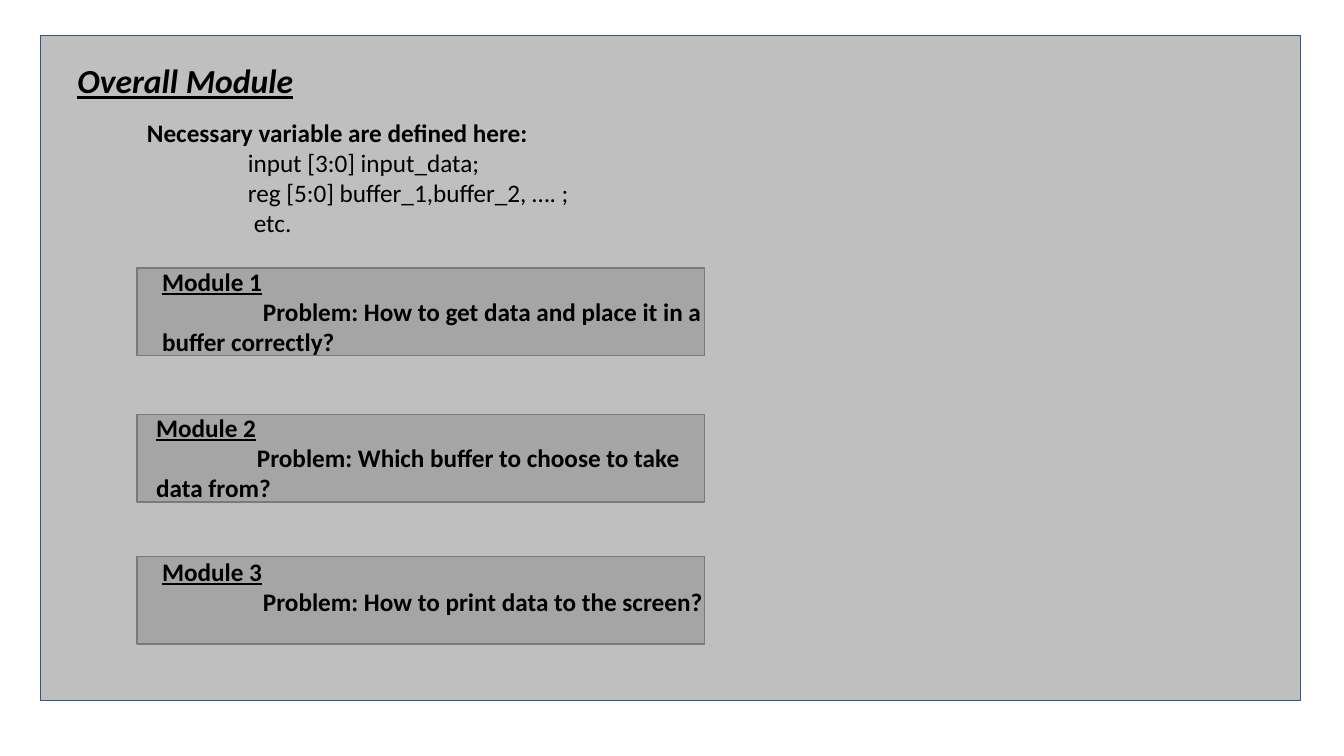
"""Build the slide that outlines the overall module and its three submodules."""
import pptx
import pptx.util
import pptx.dml.color
import pptx.enum.shapes
import pptx.enum.text

PX = 9144
BLACK = pptx.dml.color.RGBColor(0x00, 0x00, 0x00)
PANEL_GREY = pptx.dml.color.RGBColor(0xBF, 0xBF, 0xBF)
PANEL_EDGE = pptx.dml.color.RGBColor(0x32, 0x54, 0x91)
MODULE_GREY = pptx.dml.color.RGBColor(0xA5, 0xA5, 0xA5)
MODULE_EDGE = pptx.dml.color.RGBColor(0x7A, 0x7A, 0x7A)
INDENT = 100
MODULE_LEFT, MODULE_WIDTH, MODULE_HEIGHT = 136, 563, 87

deck = pptx.Presentation()
deck.slide_width = 1333 * PX
deck.slide_height = 750 * PX
slide = deck.slides.add_slide(deck.slide_layouts[6])


def add_panel(left, top, width, height, fill, edge):
    panel = slide.shapes.add_shape(
        pptx.enum.shapes.MSO_SHAPE.RECTANGLE, left * PX, top * PX, width * PX, height * PX)
    panel.shadow.inherit = False
    panel.fill.solid()
    panel.fill.fore_color.rgb = fill
    panel.line.color.rgb = edge
    panel.line.width = pptx.util.Pt(1)


def add_text(left, top, width, height, size, lines):
    frame = slide.shapes.add_textbox(left * PX, top * PX, width * PX, height * PX).text_frame
    frame.word_wrap = True
    frame.auto_size = pptx.enum.text.MSO_AUTO_SIZE.SHAPE_TO_FIT_TEXT
    for number, (words, style, indent) in enumerate(lines):
        paragraph = frame.add_paragraph() if number else frame.paragraphs[0]
        if indent:
            paragraph._p.get_or_add_pPr().set("indent", str(indent * PX))
        run = paragraph.add_run()
        run.text = words
        run.font.name = "Calibri"
        run.font.size = pptx.util.Pt(size)
        run.font.color.rgb = BLACK
        run.font.bold = "b" in style
        run.font.italic = "i" in style
        run.font.underline = "u" in style


modules = [
    (266, 151, 259, 101, "Module 1", "Problem: How to get data and place it in a buffer correctly?"),
    (411, 145, 404, 101, "Module 2", "Problem: Which buffer to choose to take data from?"),
    (552, 151, 547, 71, "Module 3", "Problem: How to print data to the screen?"),
]

add_panel(40, 35, 1250, 660, PANEL_GREY, PANEL_EDGE)
for box_top, *_ in modules:
    add_panel(MODULE_LEFT, box_top, MODULE_WIDTH, MODULE_HEIGHT, MODULE_GREY, MODULE_EDGE)

add_text(67, 55, 404, 50, 24, [("Overall Module", "biu", 0)])
add_text(MODULE_LEFT, 111, MODULE_WIDTH, 131, 18, [
    ("Necessary variable are defined here:", "b", 0),
    ("input [3:0] input_data;", "", INDENT),
    ("reg [5:0] buffer_1,buffer_2, …. ;", "", INDENT),
    ("etc.", "", INDENT + 6),
])
for _, text_left, text_top, text_height, heading, problem in modules:
    add_text(text_left, text_top, MODULE_WIDTH, text_height, 18,
             [(heading, "bu", 0), (problem, "b", INDENT)])

deck.save("out.pptx")
